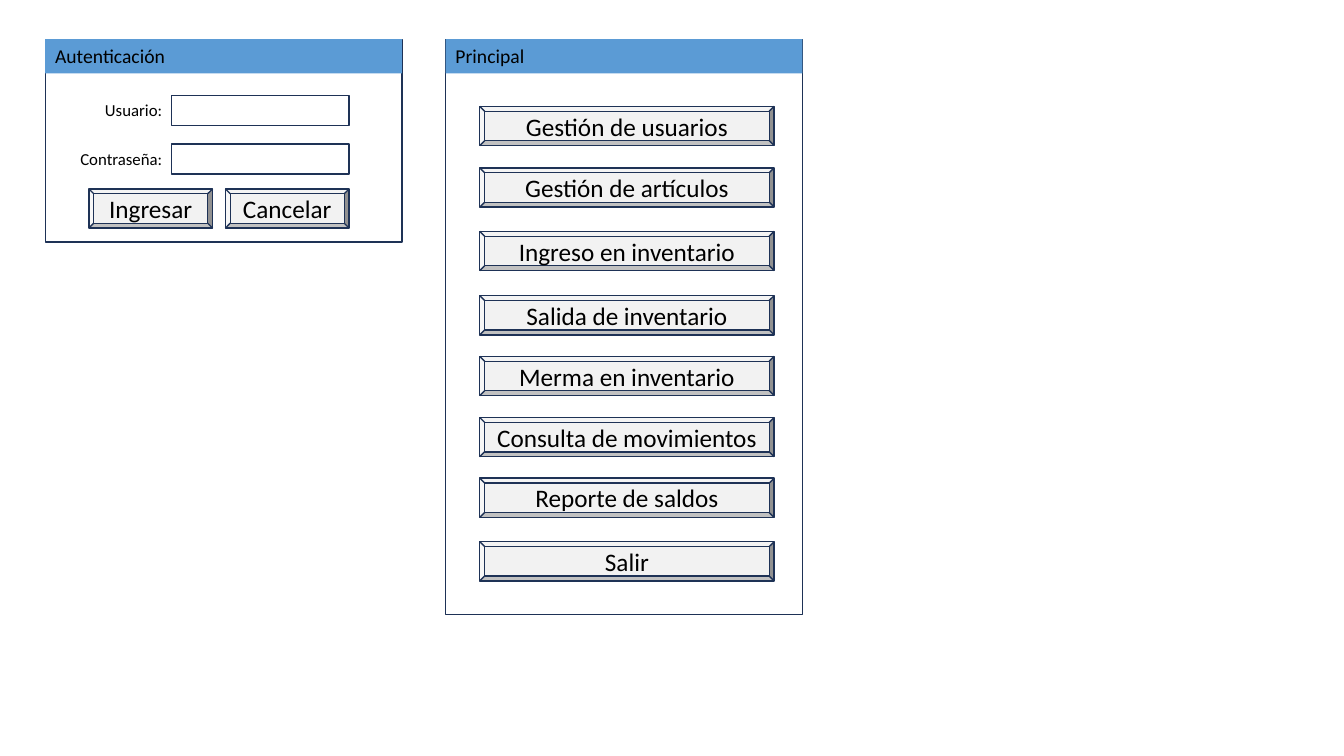
"""Build a slide with wireframes of a login window and a main menu window."""
import pptx
import pptx.util
import pptx.dml.color
import pptx.enum.shapes
import pptx.enum.text

Cm = pptx.util.Cm
SHAPE = pptx.enum.shapes.MSO_SHAPE
ALIGN = pptx.enum.text.PP_ALIGN
ANCHOR = pptx.enum.text.MSO_ANCHOR
GROW = pptx.enum.text.MSO_AUTO_SIZE.SHAPE_TO_FIT_TEXT


def rgb(value):
    return pptx.dml.color.RGBColor.from_string(value)


class Wireframe:
    font = "Calibri"
    ink = "000000"
    border = "1E3256"
    bar = "5B9BD5"
    face = "F2F2F2"
    window_width = 8.99
    bar_height = 0.86
    field_height = 0.76
    button_height = 0.99

    def __init__(self, slide):
        self.slide = slide

    def shape(self, kind, x, y, w, h, fill=None, line=None):
        sp = self.slide.shapes.add_shape(kind, Cm(x), Cm(y), Cm(w), Cm(h))
        sp.shadow.inherit = False
        if fill:
            sp.fill.solid()
            sp.fill.fore_color.rgb = rgb(fill)
        else:
            sp.fill.background()
        if line:
            sp.line.color.rgb = rgb(line)
            sp.line.width = pptx.util.Pt(1)
        else:
            sp.line.fill.background()
        return sp

    def add_text(self, sp, text, size, align, anchor=ANCHOR.TOP):
        tf = sp.text_frame
        tf.word_wrap = True
        tf.vertical_anchor = anchor
        p = tf.paragraphs[0]
        p.alignment = align
        r = p.add_run()
        r.text = text
        r.font.name = self.font
        r.font.size = pptx.util.Pt(size)
        r.font.color.rgb = rgb(self.ink)
        return tf

    def window(self, title, x, y, h):
        self.shape(SHAPE.RECTANGLE, x, y, self.window_width, h, line=self.border)
        sp = self.shape(SHAPE.RECTANGLE, x, y, self.window_width, self.bar_height, fill=self.bar)
        self.add_text(sp, title, 14, ALIGN.LEFT).auto_size = GROW

    def label(self, text, x, y, w):
        sp = self.slide.shapes.add_textbox(Cm(x), Cm(y), Cm(w), Cm(self.field_height))
        self.add_text(sp, text, 12, ALIGN.RIGHT).auto_size = GROW

    def field(self, x, y, w):
        self.shape(SHAPE.RECTANGLE, x, y, w, self.field_height, line=self.border)

    def button(self, text, x, y, w):
        sp = self.shape(SHAPE.BEVEL, x, y, w, self.button_height, self.face, self.border)
        self.add_text(sp, text, 18, ALIGN.CENTER, ANCHOR.MIDDLE)


def main():
    prs = pptx.Presentation()
    prs.slide_width, prs.slide_height = Cm(33.87), Cm(19.05)
    s = prs.slides.add_slide(prs.slide_layouts[6])
    ui = Wireframe(s)

    ui.window("Autenticación", 1.14, 0.99, 5.11)
    for text, y in (("Usuario:", 2.4), ("Contraseña:", 3.63)):
        ui.label(text, 1.42, y, 2.92)
        ui.field(4.33, y, 4.47)
    for text, x in (("Ingresar", 2.24), ("Cancelar", 5.68)):
        ui.button(text, x, 4.76, 3.12)

    ui.window("Principal", 11.23, 0.99, 14.5)
    menu = (
        ("Gestión de usuarios", 2.68),
        ("Gestión de artículos", 4.23),
        ("Ingreso en inventario", 5.83),
        ("Salida de inventario", 7.45),
        ("Merma en inventario", 8.98),
        ("Consulta de movimientos", 10.52),
        ("Reporte de saldos", 12.05),
        ("Salir", 13.65),
    )
    for text, y in menu:
        ui.button(text, 12.09, y, 7.42)

    prs.save("out.pptx")


if __name__ == "__main__":
    main()
